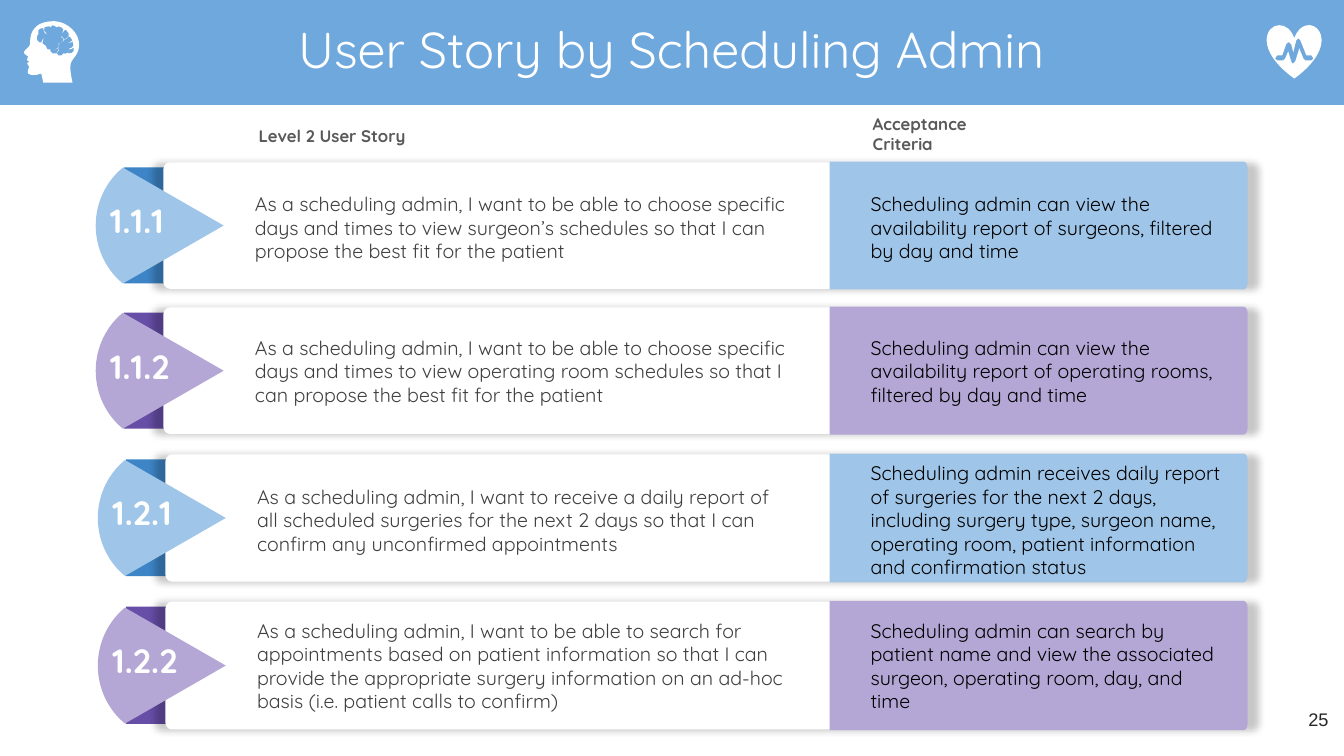
from lxml import etree
from pptx import Presentation
from pptx.dml.color import RGBColor
from pptx.enum.shapes import MSO_SHAPE
from pptx.enum.text import MSO_ANCHOR, MSO_AUTO_SIZE, PP_ALIGN
from pptx.oxml.ns import qn
from pptx.util import Pt

RECTANGLE, ROUNDED = MSO_SHAPE.RECTANGLE, MSO_SHAPE.ROUNDED_RECTANGLE
MIDDLE, TOP = MSO_ANCHOR.MIDDLE, MSO_ANCHOR.TOP
LEFT, CENTER, RIGHT = PP_ALIGN.LEFT, PP_ALIGN.CENTER, PP_ALIGN.RIGHT
FIXED = MSO_AUTO_SIZE.NONE

WHITE = RGBColor(0xFF, 0xFF, 0xFF)
BLACK = RGBColor(0x00, 0x00, 0x00)
BANNER_BLUE = RGBColor(0x6F, 0xA8, 0xDC)
LIGHT_BLUE = RGBColor(0x9F, 0xC5, 0xE8)
DARK_BLUE = RGBColor(0x3D, 0x85, 0xC6)
LIGHT_PURPLE = RGBColor(0xB4, 0xA7, 0xD6)
DARK_PURPLE = RGBColor(0x67, 0x4E, 0xA7)
STORY_GREY = RGBColor(0x3F, 0x3F, 0x3F)
HEADING_GREY = RGBColor(0x59, 0x59, 0x59)
NUMBER_GREY = RGBColor(0x26, 0x26, 0x26)

TITLE = {"name": "Quicksand", "size": Pt(36), "bold": False}
STORY = {"name": "Quicksand", "size": Pt(14), "bold": False}
HEADING = {"name": "Quicksand", "size": Pt(12), "bold": True}
STORY_ID = {"name": "Quicksand", "size": Pt(24), "bold": True}
PAGE_NUMBER = {"name": "Arial", "size": Pt(13), "bold": False}
WIDE_INSET = (8.8, 3.6)

THEMES = [(LIGHT_BLUE, DARK_BLUE), (LIGHT_PURPLE, DARK_PURPLE)]
ROWS = [(115.4, 91.4, 162.4, 0), (219.1, 91.4, 265, 0),
        (324, 92, 371.3, 1.5), (429.2, 92.4, 475.6, 1.5)]
STORIES = [
    ("1.1.1",
     "As a scheduling admin, I want to be able to choose specific days and times to view "
     "surgeon’s schedules so that I can propose the best fit for the patient",
     "Scheduling admin can view the availability report of surgeons, filtered by day and time"),
    ("1.1.2",
     "As a scheduling admin, I want to be able to choose specific days and times to view "
     "operating room schedules so that I can propose the best fit for the patient",
     "Scheduling admin can view the availability report of operating rooms, filtered by day "
     "and time"),
    ("1.2.1",
     "As a scheduling admin, I want to receive a daily report of all scheduled surgeries for "
     "the next 2 days so that I can confirm any unconfirmed appointments",
     "Scheduling admin receives daily report of surgeries for the next 2 days, including "
     "surgery type, surgeon name, operating room, patient information and confirmation status"),
    ("1.2.2",
     "As a scheduling admin, I want to be able to search for appointments based on patient "
     "information so that I can provide the appropriate surgery information on an ad-hoc "
     "basis (i.e. patient calls to confirm)",
     "Scheduling admin can search by patient name and view the associated surgeon, operating "
     "room, day, and time"),
]

ICON_UNIT = 0.72
HEAD = [
    (54, 21), (67.5, 21.75, 79.3, 33.2, 78.5, 45.6), (78.2, 49.75, 76.5, 54, 73, 58),
    (69, 62, 69, 68, 72, 82), (43, 82), (41, 73),
    (36, 75, 30, 75, 28, 73), (27, 72, 28, 68, 29, 66), (29, 65, 27, 65, 27, 63),
    (27, 62, 28, 62, 29, 61), (27, 60), (26, 59, 28, 57, 28, 56), (26, 55, 25, 54, 24, 53),
    (23, 51, 26, 49, 29, 46), (31, 43, 29, 40, 31, 34), (34, 25, 42, 21, 54, 21),
]
BRAIN = [
    (52, 25), (50, 27), (49, 26), (44, 27), (44, 28), (43, 30, 44, 32, 46, 33), (46, 34),
    (44, 33, 43, 31, 43, 28), (41, 28, 39, 28, 38, 30), (38, 34), (37, 35),
    (36, 37, 36, 40, 39, 42), (41, 42), (43, 38), (43, 39), (42, 43), (46, 46), (46, 47),
    (46, 49, 48, 50, 50, 49), (50, 51), (51, 53, 53, 54, 55, 53), (56, 53),
    (57, 52, 58, 50, 58, 48), (54, 49), (56, 49, 57, 48, 58, 47), (59, 46, 59, 44, 58, 43),
    (59, 43), (58, 47), (58, 48), (59, 49, 58, 52, 56, 53), (57, 55, 59, 56, 61, 55),
    (63, 53), (65, 54, 66, 53, 68, 52), (68, 53), (70, 53, 72, 53, 73, 51), (73, 47),
    (72, 48, 71, 49, 69, 49), (69, 48), (71, 48, 72, 47, 73, 45), (72, 41),
    (71, 42, 70, 43, 68, 42), (70, 42, 71, 41, 72, 40), (70, 37), (68, 36),
    (67, 38, 65, 40, 64, 39), (63, 41), (60, 42), (63, 41), (63, 38), (61, 37), (61, 36),
    (63, 38), (64, 39), (65, 39, 67, 38, 68, 36), (69, 34, 68, 32, 66, 30), (64, 30),
    (62, 33), (63, 29), (61, 27), (59, 26, 57, 26, 56, 27), (55, 26),
]
HEART = [
    (1269, 25), (1275, 25, 1281, 29, 1284, 38), (1289.5, 22, 1303.25, 22, 1308.75, 31),
    (1314.25, 40, 1311.5, 58, 1284, 78), (1264, 63.5, 1257, 50.25, 1256.6, 40.6),
    (1256.25, 31, 1262.5, 25, 1269, 25),
]
PULSE = [
    (1288, 38), (1286, 40), (1283, 52), (1281, 44), (1279, 42), (1278, 42), (1276, 44),
    (1272, 55), (1267, 55), (1265, 58), (1267, 60), (1273, 60), (1275, 58), (1278, 51),
    (1281, 61), (1282, 63), (1283, 63), (1285, 61), (1289, 48), (1293, 58), (1295, 60),
    (1301, 60), (1303, 58), (1301, 55), (1296, 55), (1290, 40),
]


def set_format(target, values):
    """Set every named attribute of the target."""
    for name, value in values.items():
        setattr(target, name, value)


def paint(shape, color):
    """Give a shape a plain fill without line or shadow."""
    shape.fill.solid()
    shape.fill.fore_color.rgb = color
    shape.line.fill.background()
    shape.shadow.inherit = False
    return shape


def add_block(slide, kind, box, color):
    """Add a preset shape at a box given in points."""
    return paint(slide.shapes.add_shape(kind, *map(Pt, box)), color)


def add_soft_shadow(shape):
    """Put a faint blurred shadow, slightly wider than the shape, around it."""
    effects = shape._element.spPr.find(qn("a:effectLst"))
    shadow = etree.SubElement(effects, qn("a:outerShdw"), blurRad=str(Pt(5)),
                              sx="102000", sy="100000", algn="ctr")
    black = etree.SubElement(shadow, qn("a:srgbClr"), val="000000")
    etree.SubElement(black, qn("a:alpha"), val="22000")


def add_outline(slide, contours, color, unit=1):
    """Add one freeform of lines and cubic curves; inner contours are holes."""
    outlines = [[[round(value * unit * 100) for value in segment] for segment in contour]
                for contour in contours]
    segments = [segment for outline in outlines for segment in outline]
    origin = [min(segment[axis - 2] for segment in segments) for axis in (0, 1)]
    builder = slide.shapes.build_freeform(*outlines[0][0], scale=Pt(0.01))
    for index, outline in enumerate(outlines):
        if index:
            builder.move_to(*outline[0])
        builder.add_line_segments([segment[-2:] for segment in outline[1:]], close=True)
    shape = builder.convert_to_shape()
    steps = list(shape._element.iter(qn("a:moveTo"), qn("a:lnTo")))
    for step, segment in zip(steps, segments):
        if len(segment) == 6:
            curve = etree.Element(qn("a:cubicBezTo"))
            for x, y in (segment[:2], segment[2:4], segment[4:]):
                etree.SubElement(curve, qn("a:pt"), x=str(x - origin[0]), y=str(y - origin[1]))
            step.getparent().replace(step, curve)
    paint(shape, color)


def fill_text(holder, text, font, color, align=LEFT, anchor=MIDDLE, inset=(7.2, 3.6)):
    """Write one formatted paragraph into a shape."""
    side, edge = map(Pt, inset)
    set_format(holder.text_frame, {
        "word_wrap": True, "auto_size": FIXED, "vertical_anchor": anchor,
        "margin_left": side, "margin_right": side, "margin_top": edge, "margin_bottom": edge})
    paragraph = holder.text_frame.paragraphs[0]
    paragraph.alignment = align
    run = paragraph.add_run()
    run.text = text
    set_format(run.font, font)
    run.font.color.rgb = color
    return paragraph


def add_text(slide, box, *content, **layout):
    """Add a text box at a box given in points."""
    fill_text(slide.shapes.add_textbox(*map(Pt, box)), *content, **layout)


def add_banner(slide):
    """Place the title on its blue band with both icons."""
    band = add_block(slide, RECTANGLE, (0, 0, 960, 75), BANNER_BLUE)
    slide.shapes._spTree.insert(2, band._element)
    title = slide.shapes.title
    set_format(title, {"left": Pt(23.8), "top": Pt(8.6), "width": Pt(911.5), "height": Pt(57)})
    fill_text(title, "User Story by Scheduling Admin", TITLE, WHITE, CENTER).line_spacing = 0.9
    add_outline(slide, [HEART, PULSE], WHITE, ICON_UNIT)
    add_outline(slide, [HEAD, BRAIN], WHITE, ICON_UNIT)


def add_story(slide, row, theme, story_id, story, criteria):
    """Add one row: number drop, story card and criteria panel."""
    top, height, text_middle, shift = row
    light, dark = theme
    add_block(slide, RECTANGLE, (88.5 + shift, top + 4.2, 176, height - 8.6), dark)
    card = add_block(slide, ROUNDED, (116.7 + shift, top + 0.5, 774 - shift, height - 1), WHITE)
    card.adjustments[0] = 0.053
    add_soft_shadow(card)
    x, y = 68.4 + shift, top + height / 2
    add_outline(slide, [[(x + 91.4, y), (x + 19.4, y + 41.4),
                         (x + 7.9, y + 32, x, y + 17, x, y),
                         (x, y - 17, x + 7.9, y - 32, x + 19.4, y - 41.4)]], light)
    right, bottom = 891.2, top + height
    add_outline(slide, [[(592.6, top), (right - 3, top),
                         (right - 1.3, top, right, top + 2.2, right, top + 5), (right, bottom - 5),
                         (right, bottom - 2.2, right - 1.3, bottom, right - 3, bottom),
                         (592.6, bottom)]], light)
    add_text(slide, (175 + shift, text_middle - 33, 395, 66), story, STORY, STORY_GREY)
    add_text(slide, (614.8, text_middle - 33, 266, 66), criteria, STORY, BLACK)
    add_text(slide, (70 + shift, top + 17.1, 91.5, 50), story_id, STORY_ID, WHITE,
             inset=WIDE_INSET)


def main():
    """Build the slide and save it."""
    deck = Presentation()
    set_format(deck, {"slide_width": Pt(960), "slide_height": Pt(540)})
    slide = deck.slides.add_slide(deck.slide_layouts[5])
    add_banner(slide)
    for heading, left, top, width in (("Level 2 User Story", 175.9, 86.4, 201),
                                      ("Acceptance Criteria", 614.6, 84.6, 126)):
        add_text(slide, (left, top, width, 21.6), heading, HEADING, HEADING_GREY,
                 inset=WIDE_INSET)
    for index, (row, story) in enumerate(zip(ROWS, STORIES)):
        add_story(slide, row, THEMES[index % 2], *story)
    add_text(slide, (898.5, 499, 57.6, 41), "25", PAGE_NUMBER, NUMBER_GREY, RIGHT, TOP, (7.2, 7.2))
    deck.save("out.pptx")


if __name__ == "__main__":
    main()
